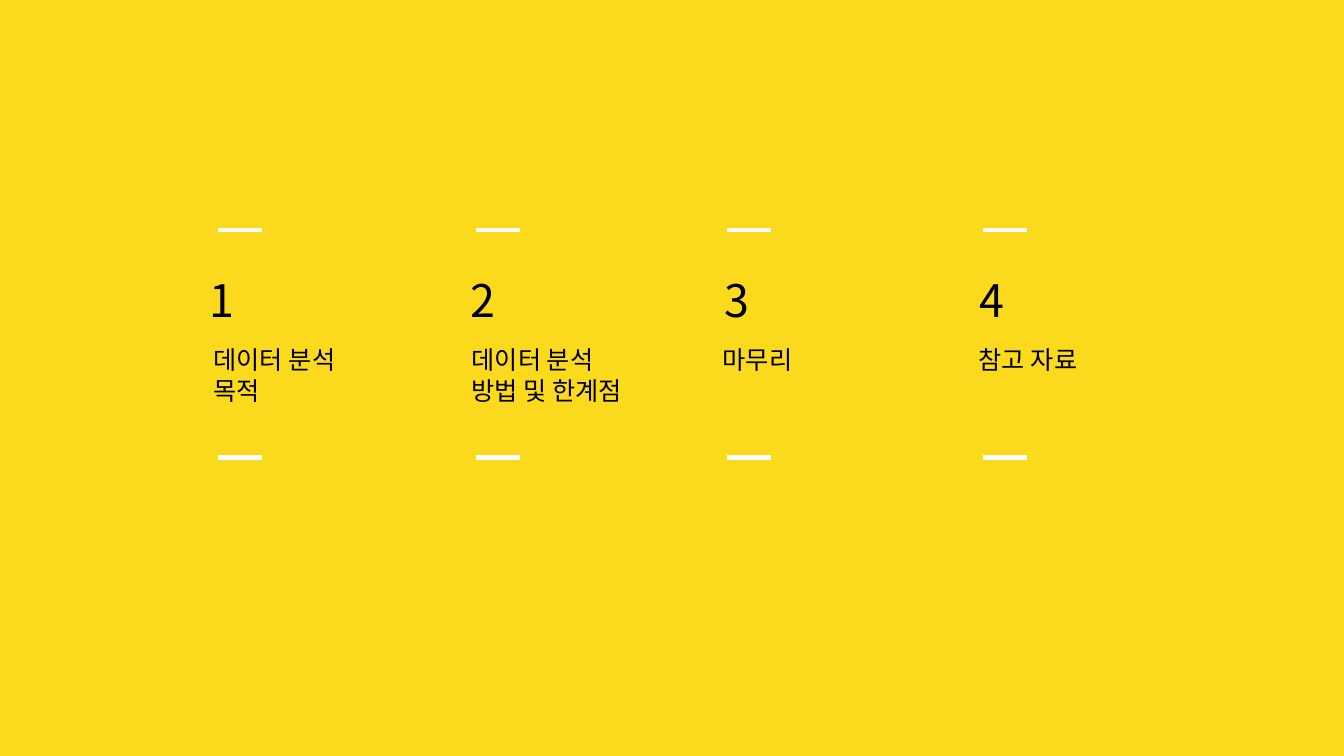
from dataclasses import dataclass

from lxml.etree import SubElement
from pptx import Presentation
from pptx.dml.color import RGBColor
from pptx.enum.shapes import MSO_SHAPE as Preset
from pptx.enum.text import MSO_AUTO_SIZE as AutoSize
from pptx.oxml.ns import qn
from pptx.shapes.group import GroupShape
from pptx.shapes.shapetree import SlideShapes
from pptx.util import Inches, Pt


@dataclass(frozen=True)
class Theme:
    background: RGBColor = RGBColor(0xFB, 0xD9, 0x1C)
    text: RGBColor = RGBColor(0, 0, 0)
    bracket: RGBColor = RGBColor(0xFF, 0xFF, 0xFF)
    font: str = "Noto Sans CJK KR"
    number_size: float = 32
    title_size: float = 18
    bracket_width: float = 3.25


@dataclass(frozen=True)
class Chapter:
    title: tuple[str, ...]
    number_left: float
    title_left: float
    title_width: float
    bracket_left: float


THEME = Theme()
CHAPTERS = (
    Chapter(("데이터 분석", "목적"), 1.98, 2.02, 1.55, 1.25),
    Chapter(("데이터 분석", "방법 및 한계점"), 4.57, 4.58, 1.9, 3.81),
    Chapter(("마무리",), 7.09, 7.07, 0.96, 6.3),
    Chapter(("참고 자료",), 9.62, 9.61, 1.3, 8.84),
)


def add_text(group: GroupShape, lines: tuple[str, ...], left: float, top: float,
             width: float, height: float, size: float, wrap: bool) -> None:
    box = group.shapes.add_textbox(Inches(left), Inches(top), Inches(width), Inches(height))
    frame = box.text_frame
    frame.word_wrap = wrap
    frame.auto_size = AutoSize.SHAPE_TO_FIT_TEXT
    frame.text = "\n".join(lines)
    for paragraph in frame.paragraphs:
        font = paragraph.font
        font.size = Pt(size)
        font.color.rgb = THEME.text
        font.name = THEME.font
        defaults = paragraph._p.pPr.find(qn("a:defRPr"))
        SubElement(defaults, qn("a:ea")).set("typeface", THEME.font)


def add_bracket(group: GroupShape, left: float) -> None:
    bracket = group.shapes.add_shape(
        Preset.DOUBLE_BRACKET, Inches(left), Inches(3.19), Inches(2.26), Inches(0.44))
    bracket.rotation = 270
    bracket.adjustments[0] = 0
    bracket.shadow.inherit = False
    bracket.fill.background()
    bracket.line.color.rgb = THEME.bracket
    bracket.line.width = Pt(THEME.bracket_width)


def add_chapter(shapes: SlideShapes, number: int, chapter: Chapter) -> None:
    group = shapes.add_group_shape()
    add_text(group, (str(number),), chapter.number_left, 2.66, 0.84, 0.64,
             THEME.number_size, wrap=True)
    title_height = 0.1 + 0.3 * len(chapter.title)
    add_text(group, chapter.title, chapter.title_left, 3.37, chapter.title_width,
             title_height, THEME.title_size, wrap=False)
    add_bracket(group, chapter.bracket_left)


def main() -> None:
    presentation = Presentation()
    presentation.slide_width = Inches(13.33)
    presentation.slide_height = Inches(7.5)
    slide = presentation.slides.add_slide(presentation.slide_layouts[6])
    background = slide.background.fill
    background.solid()
    background.fore_color.rgb = THEME.background
    for number, chapter in enumerate(CHAPTERS, start=1):
        add_chapter(slide.shapes, number, chapter)
    presentation.save("out.pptx")


if __name__ == "__main__":
    main()
